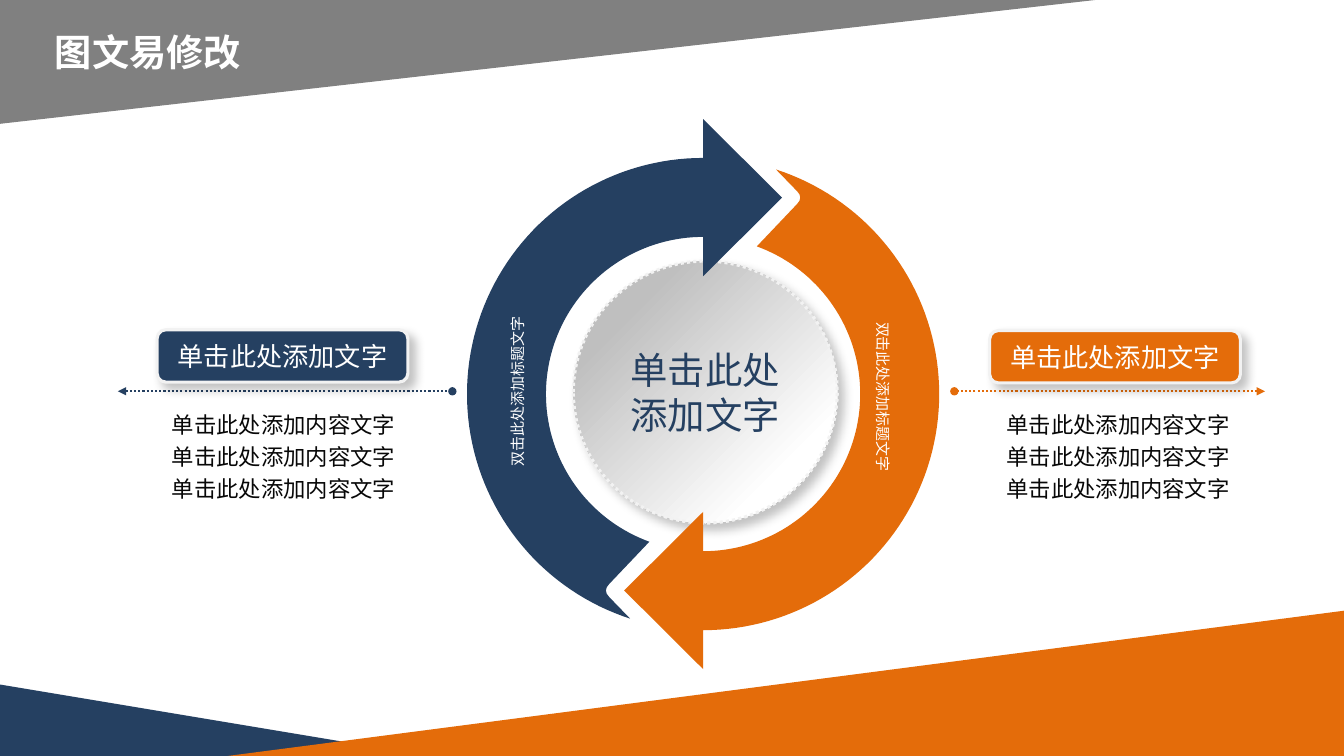
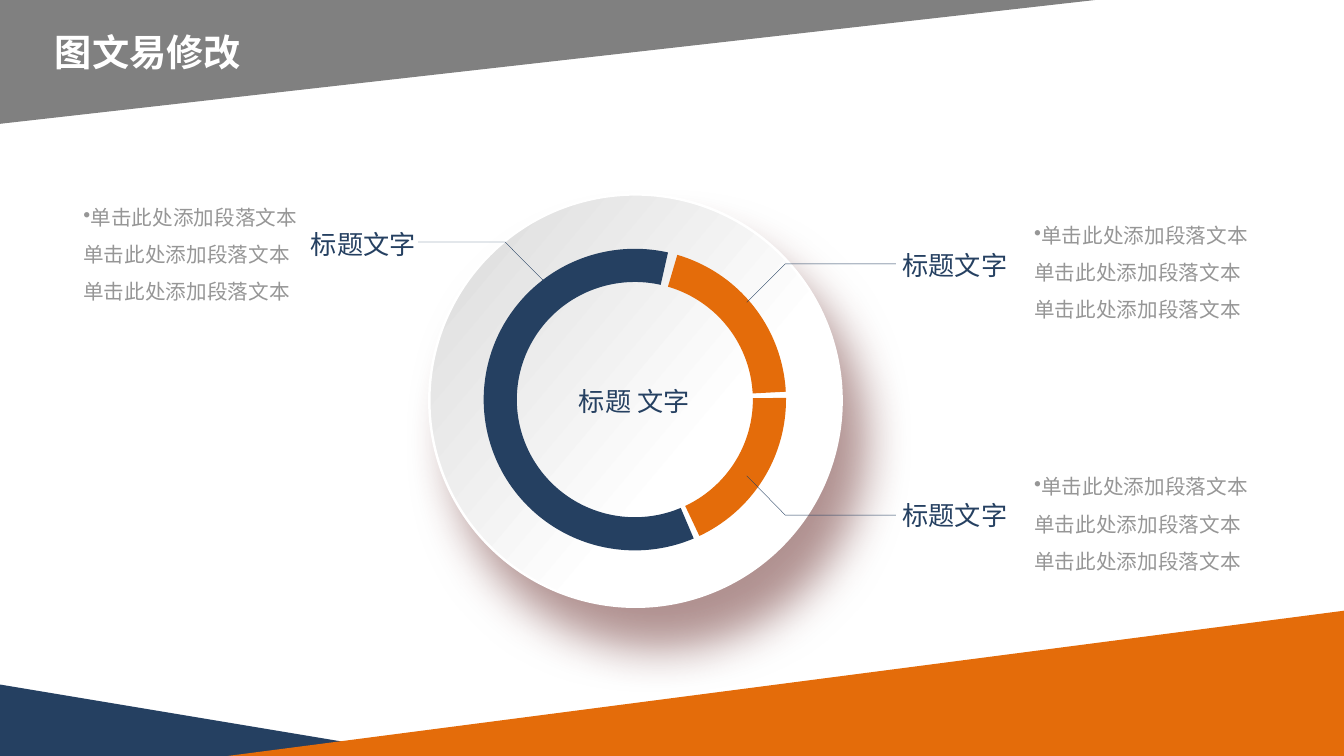
"""Build two cycle diagram slides that share a banded layout."""
from math import cos, radians, sin

from lxml import etree
from pptx import Presentation
from pptx.dml.color import RGBColor
from pptx.enum.dml import MSO_LINE
from pptx.enum.shapes import MSO_CONNECTOR, MSO_SHAPE
from pptx.enum.text import MSO_ANCHOR, PP_ALIGN
from pptx.oxml.ns import qn
from pptx.util import Cm, Pt

CENTER, LEFT = PP_ALIGN.CENTER, PP_ALIGN.LEFT
MIDDLE, TOP = MSO_ANCHOR.MIDDLE, MSO_ANCHOR.TOP
TRIANGLE, ELLIPSE = MSO_SHAPE.RIGHT_TRIANGLE, MSO_SHAPE.OVAL
ROUNDED, BLOCK_ARC = MSO_SHAPE.ROUNDED_RECTANGLE, MSO_SHAPE.BLOCK_ARC
STRAIGHT, DOTTED = MSO_CONNECTOR.STRAIGHT, MSO_LINE.ROUND_DOT

COLORS = {
    "navy": "254061", "orange": "E46C0A", "band": "808080", "white": "FFFFFF",
    "rim": "F2F2F2", "silver": "BFBFBF", "pale": "D9D9D9", "ink": "080808",
    "gray": "969696", "black": "000000", "wine": "632523",
}
RGB = {name: RGBColor.from_string(value) for name, value in COLORS.items()}
SANS, CONDENSED = "Noto Sans CJK SC", "Roboto Condensed"
SOFT_SHADOW = ("black", 23, 7, 5.9, 45)


def write_text(shape, lines, size, color, name=SANS, bold=False, spacing=1,
               alignment=CENTER, anchor=MIDDLE, wrap=False, bullet=None):
    """Fill a shape with uniformly formatted paragraphs."""
    frame = shape.text_frame
    frame.word_wrap = wrap
    frame.vertical_anchor = anchor
    frame.text = "\n".join(lines)
    paragraph_format = {"alignment": alignment, "space_before": Pt(0),
                        "line_spacing": Pt(round(size * 1.2 * spacing, 1))}
    font_format = {"size": Pt(size), "bold": bold, "name": name}
    for paragraph in frame.paragraphs:
        for attribute, value in paragraph_format.items():
            setattr(paragraph, attribute, value)
        if bullet:
            properties = paragraph._p.get_or_add_pPr()
            etree.SubElement(properties, qn("a:buChar")).set("char", bullet)
        for run in paragraph.runs:
            for attribute, value in font_format.items():
                setattr(run.font, attribute, value)
            run.font.color.rgb = RGB[color]
            east_asian = etree.SubElement(run._r.get_or_add_rPr(), qn("a:ea"))
            east_asian.set("typeface", SANS)


def paint(shape, fill=None, gradient=None, line=None, width=0, shadow=None):
    """Set fill, outline and shadow of a shape."""
    if gradient:
        angle, stops = gradient
        shape.fill.gradient()
        shape.fill.gradient_angle = angle
        for stop, (position, color) in zip(shape.fill.gradient_stops, stops):
            stop.position = position
            stop.color.rgb = RGB[color]
    elif fill:
        shape.fill.solid()
        shape.fill.fore_color.rgb = RGB[fill]
    else:
        shape.fill.background()
    if line:
        shape.line.color.rgb = RGB[line]
        shape.line.width = Pt(width)
    else:
        shape.line.fill.background()
    shape.shadow.inherit = False
    if shadow:
        color, opacity, blur, distance, direction = shadow
        effects = shape.element.spPr.find(qn("a:effectLst"))
        outer = etree.SubElement(effects, qn("a:outerShdw"), {
            "blurRad": str(Pt(blur)), "dist": str(Pt(distance)),
            "dir": str(direction * 60000), "algn": "ctr", "rotWithShape": "0"})
        tint = etree.SubElement(outer, qn("a:srgbClr"), val=COLORS[color])
        etree.SubElement(tint, qn("a:alpha"), val=str(opacity * 1000))


presentation = Presentation()
presentation.slide_width, presentation.slide_height = Cm(33.87), Cm(19.05)
layout = presentation.slide_layouts[5]
layout_title = layout.placeholders[0]
title_box = {"left": Cm(0), "top": Cm(0.74), "width": Cm(7.47), "height": Cm(1.14)}
for attribute, value in title_box.items():
    setattr(layout_title, attribute, value)

slides = [presentation.slides.add_slide(layout) for _ in range(2)]
cycle_slide, ring_slide = slides
for slide in slides:
    title = slide.shapes.title
    write_text(title, ["图文易修改"], 26.6, "white", bold=True, wrap=True)
    for side in ("left", "top", "right", "bottom"):
        setattr(title.text_frame, f"margin_{side}", 0)

bands = [
    ("navy", 0, 17.25, 10.8, 1.8, False, 0),
    ("orange", 5.74, 15.39, 28.13, 3.66, True, 0),
    ("band", 0, 0, 27.6, 3.12, True, 180),
]
for index, (color, left, top, width, height, mirrored, rotation) in enumerate(bands):
    band = cycle_slide.shapes.add_shape(TRIANGLE, Cm(left), Cm(top), Cm(width), Cm(height))
    paint(band, color)
    band.rotation = rotation
    if mirrored:
        band.element.spPr.find(qn("a:xfrm")).set("flipH", "1")
    band.element.nvSpPr.cNvPr.set("id", str(20 + index))
    layout.shapes.element.insert(2 + index, band.element)

shapes = cycle_slide.shapes
hub = shapes.add_shape(ELLIPSE, Cm(14.45), Cm(6.58), Cm(6.65), Cm(6.6))
paint(hub, gradient=(315, [(0.2, "silver"), (0.8, "white")]),
      line="rim", width=2.25, shadow=SOFT_SHADOW)
hub.line.dash_style = DOTTED
write_text(hub, ["单击此处", "添加文字"], 26.7, "navy")

center_x, center_y = 17.72, 9.93
outer_arc = [(5.95 * cos(radians(angle)), 5.95 * sin(radians(angle)))
             for angle in range(270, 107, -2)]
inner_arc = [(3.96 * cos(radians(angle)), 3.96 * sin(radians(angle)))
             for angle in range(110, 271, 2)]
notch = [(-2.37, 5.11), (-2.43, 5.03), (-2.45, 4.95), (-2.43, 4.87), (-2.37, 4.79)]
arrowhead = [(0, -2.97), (1.99, -4.95), (0, -6.93)]
outline = outer_arc + notch + inner_arc + arrowhead
for color, sign in (("navy", 1), ("orange", -1)):
    points = [(Cm(center_x + sign * x), Cm(center_y + sign * y)) for x, y in outline]
    builder = shapes.build_freeform(*points[0], scale=1.0)
    builder.add_line_segments(points[1:], close=True)
    paint(builder.convert_to_shape(), color)

for left, top, width, height, rotation in ((12.4, 6.2, 7.9, 7.34, 270),
                                           (13.92, 5.77, 8.94, 8.46, 90)):
    arrow_label = shapes.add_textbox(Cm(left), Cm(top), Cm(width), Cm(height))
    arrow_label.rotation = rotation
    write_text(arrow_label, ["双击此处添加标题文字"], 10.7, "white", anchor=TOP)

panels = [
    ("orange", 24.94, 8.33, 25.07, 31.88, 24.05),
    ("navy", 3.96, 8.31, 4.04, 2.97, 11.4),
]
for color, button_left, button_top, list_left, arrow_end, dot_end in panels:
    connector = shapes.add_connector(STRAIGHT, Cm(arrow_end), Cm(9.86), Cm(dot_end), Cm(9.86))
    connector.line.color.rgb = RGB[color]
    connector.line.width = Pt(1.5)
    connector.line.dash_style = DOTTED
    for tag, kind in (("a:headEnd", "triangle"), ("a:tailEnd", "oval")):
        etree.SubElement(connector.line._get_or_add_ln(), qn(tag), type=kind)
    etree.SubElement(connector.element.spPr, qn("a:effectLst"))
    button = shapes.add_shape(ROUNDED, Cm(button_left), Cm(button_top), Cm(6.32), Cm(1.32))
    paint(button, color, line="rim", width=2.25, shadow=SOFT_SHADOW)
    write_text(button, ["单击此处添加文字"], 18.7, "white")
    content = shapes.add_textbox(Cm(list_left), Cm(10.08), Cm(6.22), Cm(2.72))
    write_text(content, ["单击此处添加内容文字"] * 3, 16, "ink", spacing=1.2)

shapes = ring_slide.shapes
disc = shapes.add_shape(ELLIPSE, Cm(10.82), Cm(4.9), Cm(10.39), Cm(10.39))
paint(disc, gradient=(140, [(0.36, "white"), (1, "pale")]),
      line="white", width=1.75, shadow=("wine", 50, 33, 33, 60))

segments = [
    ("orange", 171.82, 214.21),
    ("navy", 40.22, 169.62),
    ("orange", 215.61, 38.8),
]
for color, start, end in segments:
    segment = shapes.add_shape(BLOCK_ARC, Cm(12.19), Cm(6.27), Cm(7.62), Cm(7.6))
    for index, value in enumerate((start, end, 0.11)):
        segment.adjustments[index] = value
    paint(segment, color)

leaders = [
    [(18.82, 7.62), (19.79, 6.65), (22.58, 6.65)],
    [(18.82, 11.99), (19.79, 12.98), (22.58, 12.98)],
    [(13.94, 7.32), (12.73, 6.1), (10.54, 6.1)],
]
for leader in leaders:
    points = [(Cm(x), Cm(y)) for x, y in leader]
    builder = shapes.build_freeform(*points[0], scale=1.0)
    builder.add_line_segments(points[1:], close=False)
    paint(builder.convert_to_shape(), line="navy", width=0.25)

labels = [
    ("标题文字", 21.87, 6.15),
    ("标题文字", 21.87, 12.45),
    ("标题 文字", 13.79, 9.58),
    ("标题文字", 6.96, 5.61),
]
for text, left, top in labels:
    label = shapes.add_textbox(Cm(left), Cm(top), Cm(4.39), Cm(1.07))
    write_text(label, [text], 18.7, "navy", name=CONDENSED, wrap=True)

for left, top in ((1.85, 4.72), (25.81, 5.18), (25.81, 11.51)):
    note = shapes.add_textbox(Cm(left), Cm(top), Cm(6.05), Cm(3.07))
    write_text(note, ["单击此处添加段落文本" * 3], 14.7, "gray", spacing=1.5,
               alignment=LEFT, wrap=True, bullet="•")

presentation.save("out.pptx")
